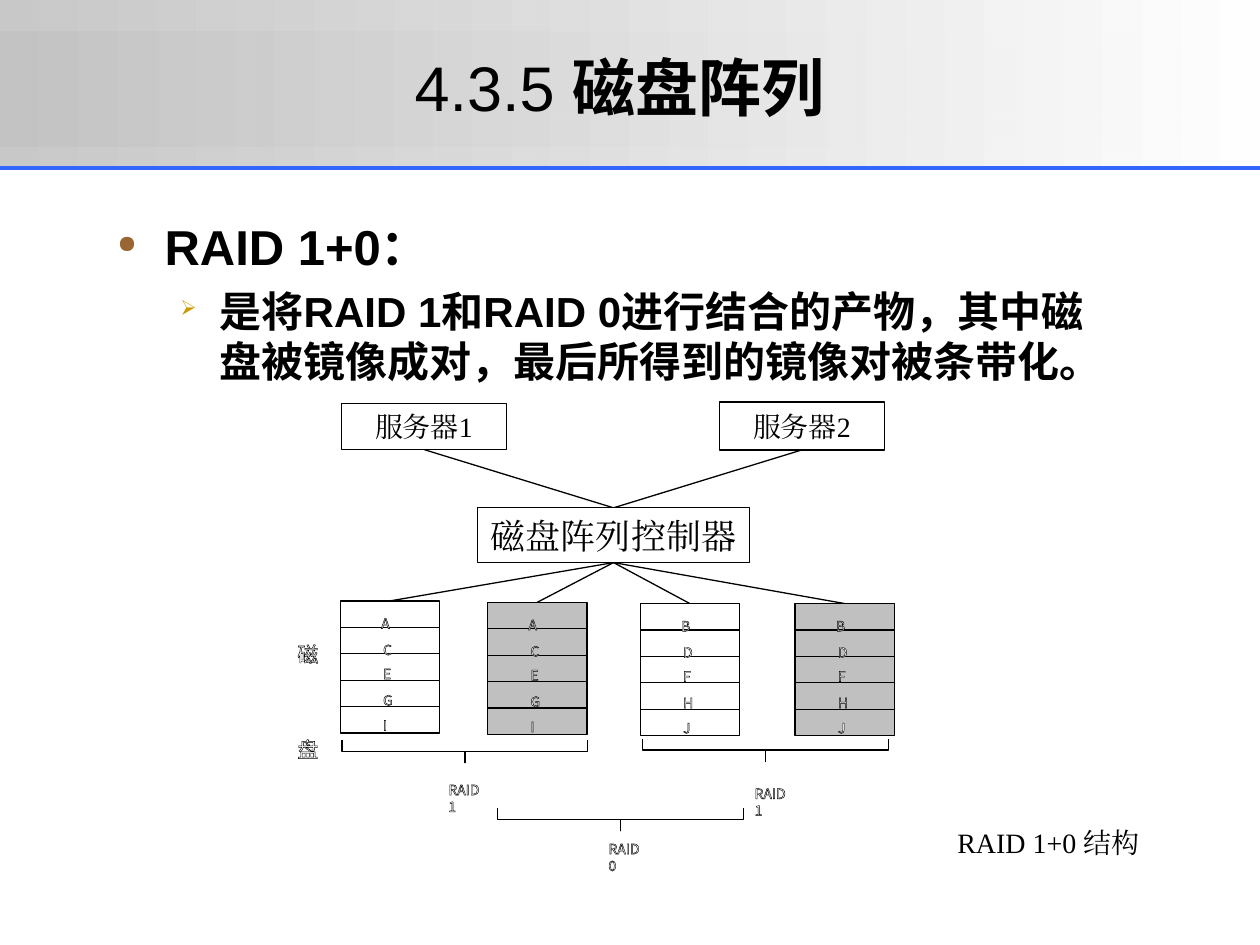
"""Build the RAID 1+0 disk array slide."""
from lxml.etree import SubElement
from pptx import Presentation
from pptx.dml.color import RGBColor
from pptx.enum.shapes import MSO_CONNECTOR as Connector, MSO_SHAPE as Shape
from pptx.enum.text import MSO_ANCHOR as Anchor, PP_ALIGN as Align
from pptx.oxml.ns import qn
from pptx.util import Pt


def color(value):
    return RGBColor.from_string(value)


def write(paragraph, text, name, size, bold=False, outlined=False):
    run = paragraph.add_run()
    run.text = text
    formats = {"name": name, "size": Pt(size), "bold": bold}
    for key, value in formats.items():
        setattr(run.font, key, value)
    run.font.color.rgb = color("FFFFFF" if outlined else "000000")
    properties = run.font._element
    SubElement(properties, qn("a:ea"), typeface=name)
    if outlined:
        outline = SubElement(properties, qn("a:ln"), w=str(Pt(0.75)))
        fill = SubElement(outline, qn("a:solidFill"))
        SubElement(fill, qn("a:srgbClr"), val="000000")
        properties.insert(0, outline)


presentation = Presentation()
presentation.slide_width, presentation.slide_height = Pt(720), Pt(540)
slide = presentation.slides.add_slide(presentation.slide_layouts[6])
shapes = slide.shapes

for top, height, opacity in [(0, 96, 86), (18, 66, 59)]:
    band = shapes.add_shape(Shape.RECTANGLE, 0, Pt(top), Pt(720), Pt(height))
    band.shadow.inherit = False
    band.line.fill.background()
    band.fill.gradient()
    band.fill.gradient_angle = 0
    for stop, value in zip(band.fill.gradient_stops, ["C0C0C0", "FFFFFF"]):
        stop.color.rgb = color(value)
    first_color = next(band._element.iter(qn("a:srgbClr")))
    SubElement(first_color, qn("a:alpha"), val=str(opacity * 1000))

disk_width, row_height = 56.9, 15.1
disks = [
    (194.4, 343.4, "FFFFFF", "ACEGI"),
    (278.6, 344.2, "C0C0C0", "ACEGI"),
    (365.8, 344.9, "FFFFFF", "BDFHJ"),
    (454.3, 344.9, "C0C0C0", "BDFHJ"),
]
hub_x, hub_top, hub_bottom = 350.6, 290.2, 321.5
lines = [(0, 96, 720, 96, "3366FF", 2.25)]
for server_x in (242.6, 458.6):
    lines.append((server_x, 257, hub_x, hub_top, "000000", 0.75))
for left, top, _, _ in disks:
    lines.append((left + 28.4, top, hub_x, hub_bottom, "000000", 0.75))
for x1, y1, x2, y2, value, width in lines:
    line = shapes.add_connector(Connector.STRAIGHT, Pt(x1), Pt(y1), Pt(x2), Pt(y2))
    line.line.color.rgb = color(value)
    line.line.width = Pt(width)
    SubElement(line._element.spPr, qn("a:effectLst"))

boxes = [
    (272.9, hub_top, 155.5, 31.3, "FFFFFF", "磁盘阵列控制器", 20),
    (195.1, 230.4, 94.3, 26.6, "FFFFFF", "服务器1", 16),
    (411.1, 229.7, 94.3, 27.4, "FFFFFF", "服务器2", 16),
]
labels = [
    (249.1, 442.8, 34.6, 7.2, "RAID 1"),
    (424.1, 445, 34.6, 7.2, "RAID 1"),
    (340.6, 476.6, 34.6, 7.2, "RAID 0"),
]
for left, top, fill, letters in disks:
    for row, letter in enumerate(letters):
        row_top = top + row * row_height
        boxes.append((left, row_top, disk_width, row_height, fill, "", 8))
        label_left = left + (23.4 if row == 0 else 24.5)
        label_top = top + [4.3, 19.4, 33.1, 48.2, 62.6][row]
        labels.append((label_left, label_top, 5.8, 7.9, letter))

for left, top, width, height, fill, text, size in boxes:
    box = shapes.add_shape(Shape.RECTANGLE, Pt(left), Pt(top), Pt(width), Pt(height))
    box.shadow.inherit = False
    box.fill.solid()
    box.fill.fore_color.rgb = color(fill)
    box.line.color.rgb = color("000000")
    box.line.width = Pt(0.75)
    if text:
        box.text_frame.vertical_anchor = Anchor.MIDDLE
        paragraph = box.text_frame.paragraphs[0]
        paragraph.alignment = Align.CENTER
        write(paragraph, text, "Times New Roman", size)

for left, top, width, height, text in labels:
    label = shapes.add_textbox(Pt(left), Pt(top), Pt(width), Pt(height))
    label.text_frame.word_wrap = False
    write(label.text_frame.paragraphs[0], text, "Noto Sans CJK SC", 8, outlined=True)

disk_label = shapes.add_textbox(Pt(167), Pt(362.9), Pt(10.1), Pt(51.8))
disk_label.text_frame.word_wrap = False
first, second = disk_label.text_frame.paragraphs[0], disk_label.text_frame.add_paragraph()
second.space_before = Pt(40)
for paragraph, text in [(first, "磁"), (second, "盘")]:
    write(paragraph, text, "Noto Sans CJK SC", 12, outlined=True)

bracket_width, arm = 140.4, 6.5
for left, top in [(195.5, 422.8), (367.2, 422.1), (284.4, 461.7)]:
    middle, right = left + bracket_width / 2, left + bracket_width
    bar, tip = top + arm, top + 2 * arm
    points = [(left, bar), (middle, bar), (middle, tip), (middle, bar), (right, bar), (right, top)]
    builder = shapes.build_freeform(Pt(left), Pt(top))
    builder.add_line_segments([(Pt(x), Pt(y)) for x, y in points], close=False)
    bracket = builder.convert_to_shape()
    bracket.shadow.inherit = False
    bracket.fill.background()
    bracket.line.color.rgb = color("000000")
    bracket.line.width = Pt(0.75)

title = shapes.add_textbox(Pt(72), Pt(24), Pt(564), Pt(50.4))
title.text_frame.word_wrap = True
paragraph = title.text_frame.paragraphs[0]
paragraph.alignment = Align.CENTER
write(paragraph, "4.3.5 ", "Arial", 36)
write(paragraph, "磁盘阵列", "Arial", 36, bold=True)

body = shapes.add_textbox(Pt(60), Pt(120), Pt(576), Pt(356.4))
body.text_frame.word_wrap = True
heading, detail = body.text_frame.paragraphs[0], body.text_frame.add_paragraph()
detail.level = 1
detail.space_before = Pt(6)
points = [
    (heading, "RAID 1+0：", 28, "●", "996633", 27, -27),
    (detail, "是将RAID 1和RAID 0进行结合的产物，其中磁盘被镜像成对，最后所得到的镜像对被条带化。",
     24, "➢", "CC9900", 58.5, -22.5),
]
for paragraph, text, size, bullet, value, margin, indent in points:
    properties = paragraph._p.get_or_add_pPr()
    properties.set("marL", str(Pt(margin)))
    properties.set("indent", str(Pt(indent)))
    bullet_color = SubElement(properties, qn("a:buClr"))
    SubElement(bullet_color, qn("a:srgbClr"), val=value)
    SubElement(properties, qn("a:buSzPct"), val="50000")
    SubElement(properties, qn("a:buChar"), char=bullet)
    write(paragraph, text, "Arial", size, bold=True)

caption = shapes.add_textbox(Pt(540), Pt(468), Pt(132), Pt(26.6))
caption.text_frame.word_wrap = True
write(caption.text_frame.paragraphs[0], "RAID 1+0 结构", "Times New Roman", 16)

presentation.save("out.pptx")
